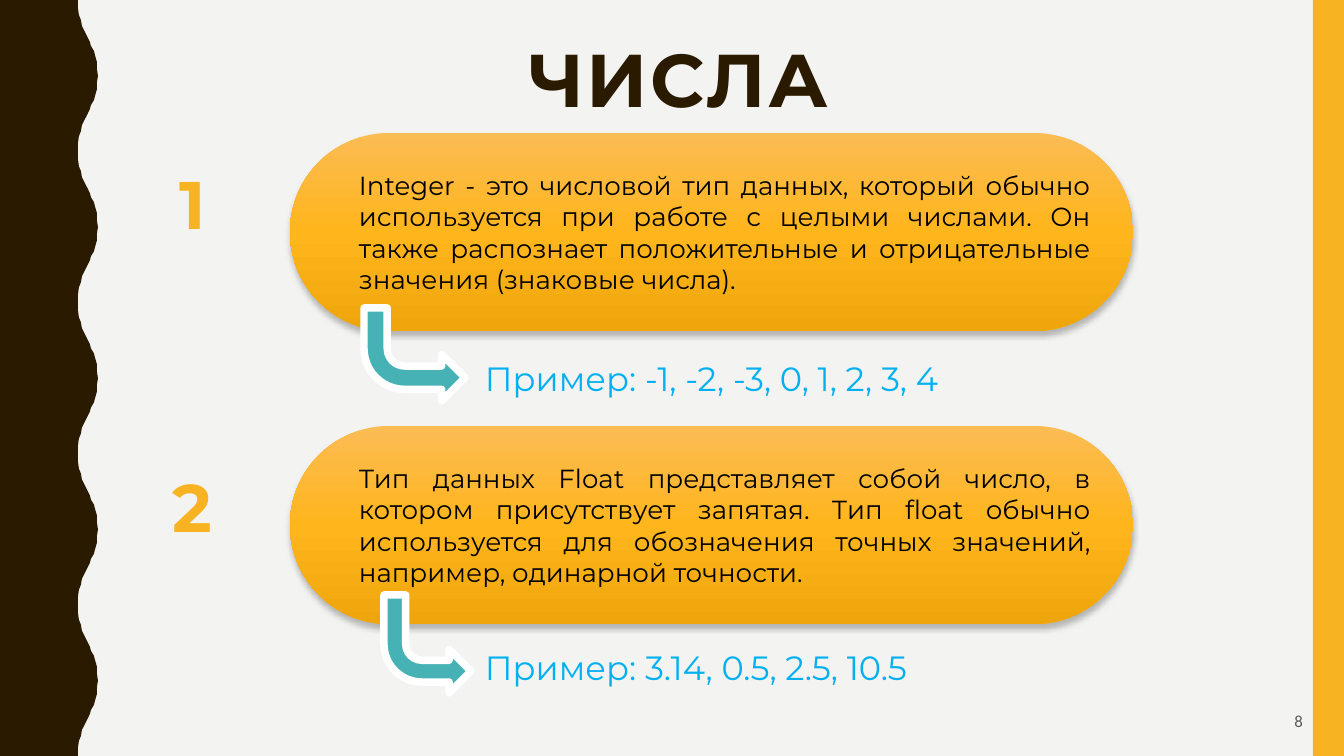
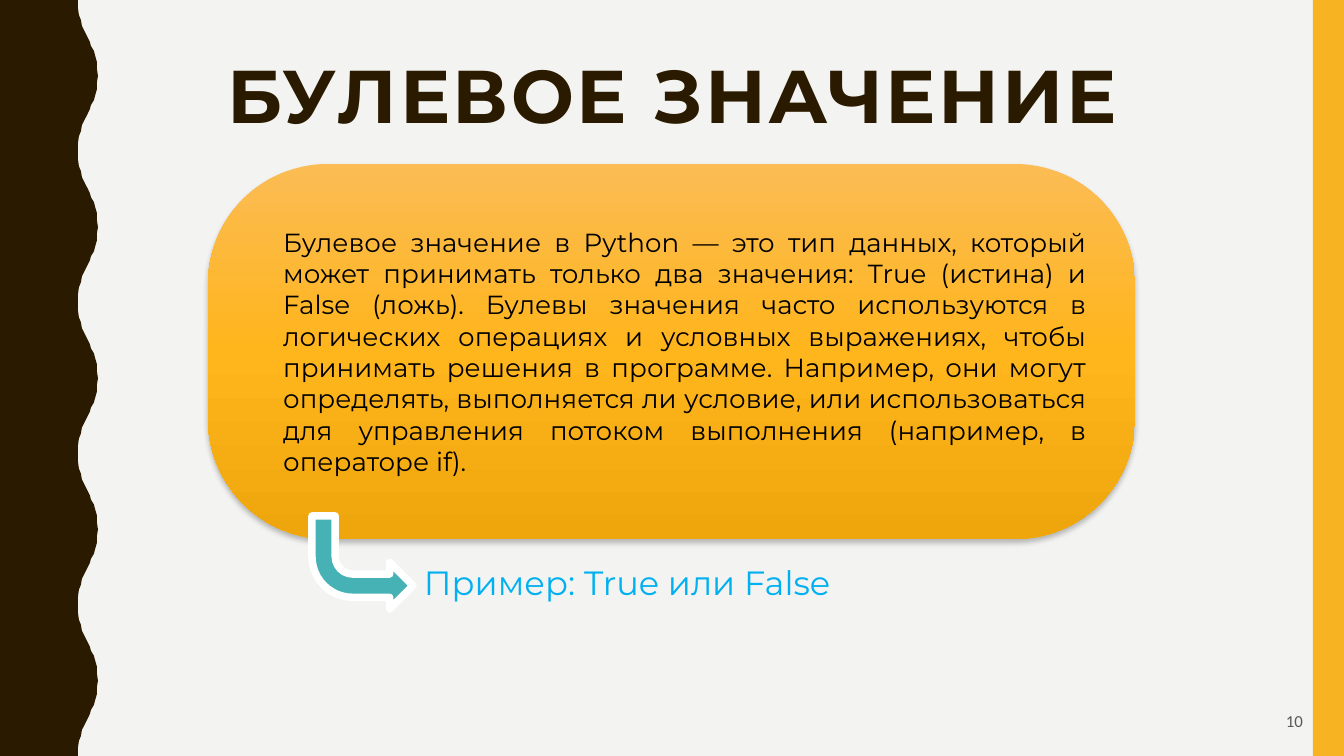
"""Build two slides on Python number types and the boolean type."""
from dataclasses import dataclass

from lxml.etree import SubElement
from pptx import Presentation
from pptx.dml.color import RGBColor
from pptx.enum.shapes import MSO_SHAPE
from pptx.enum.text import MSO_ANCHOR, MSO_AUTO_SIZE, PP_ALIGN
from pptx.oxml.ns import qn
from pptx.util import Emu, Pt

SLIDES = [
    {
        "title": ("ЧИСЛА", 122, 34),
        "page": "8",
        "numerals": [("1", 155), ("2", 458)],
        "cards": [
            {
                "text": "Integer - это числовой тип данных, который обычно используется "
                        "при работе с целыми числами. Он также распознает положительные "
                        "и отрицательные значения (знаковые числа).",
                "area": (290, 133, 843, 198),
                "corner": 0.5,
                "arrow": (364, 308, 101, 93),
                "example": ("Пример: -1, -2, -3, 0, 1, 2, 3, 4", 472, 351),
            },
            {
                "text": "Тип данных Float представляет собой число, в котором присутствует "
                        "запятая. Тип float обычно используется для обозначения точных "
                        "значений, например, одинарной точности.",
                "area": (290, 426, 843, 198),
                "corner": 0.5,
                "arrow": (384, 595, 87, 98),
                "example": ("Пример: 3.14, 0.5, 2.5, 10.5", 472, 640),
            },
        ],
    },
    {
        "title": ("БУЛЕВОЕ ЗНАЧЕНИЕ", 116, 50),
        "page": "10",
        "numerals": [],
        "cards": [
            {
                "text": "Булевое значение в Python — это тип данных, который может принимать "
                        "только два значения: True (истина) и False (ложь). Булевы значения "
                        "часто используются в логических операциях и условных выражениях, "
                        "чтобы принимать решения в программе. Например, они могут "
                        "определять, выполняется ли условие, или использоваться для "
                        "управления потоком выполнения (например, в операторе if).",
                "area": (208, 164, 927, 375),
                "corner": 0.32,
                "arrow": (312, 516, 101, 93),
                "example": ("Пример: True или False", 411, 555),
            },
        ],
    },
]

WIDTH, HEIGHT = 1344, 756
SCALE = 9144000 / WIDTH
WAVES = 5
WAVE_RISE = [
    (0, 78), (8, 78), (15, 79), (20, 81), (26, 82), (30, 84), (34, 86), (38, 88),
    (42, 90), (46, 91), (51, 94), (55, 95), (62, 97), (69, 97), (76, 98),
]


@dataclass(frozen=True)
class Style:
    size: int
    color: str
    font: str = "Montserrat"
    bold: bool = False
    align: PP_ALIGN = PP_ALIGN.LEFT
    anchor: MSO_ANCHOR = MSO_ANCHOR.TOP
    insets: tuple = (13, 7, 13, 7)
    grow: bool = True
    line_spacing: float = 1.0
    tracking: int = 0


@dataclass(frozen=True)
class Theme:
    paper: str = "F3F3F2"
    dark: str = "2A1A00"
    accent: str = "F8B323"
    arrow: str = "46B2B5"
    white: str = "FFFFFF"
    card: tuple = ((0, "FBBC54"), (50, "FFB51C"), (100, "EFA60C"))
    title: Style = Style(40, "2A1A00", bold=True, align=PP_ALIGN.CENTER,
                         anchor=MSO_ANCHOR.BOTTOM, insets=(13, 13, 13, 13),
                         grow=False, line_spacing=0.9, tracking=150)
    page: Style = Style(9, "595959", font="Calibri", align=PP_ALIGN.RIGHT,
                        insets=(13, 13, 13, 13), grow=False)
    numeral: Style = Style(36, "F8B323", bold=True, align=PP_ALIGN.CENTER,
                           anchor=MSO_ANCHOR.MIDDLE, insets=(16, 7, 16, 7))
    body: Style = Style(14, "000000", align=PP_ALIGN.JUSTIFY,
                        anchor=MSO_ANCHOR.MIDDLE, insets=(40, 7, 13, 7))
    example: Style = Style(18, "00B0F0")


THEME = Theme()


def px(length):
    return Emu(round(length * SCALE))


def paint(fill, color):
    fill.solid()
    fill.fore_color.rgb = RGBColor.from_string(color)


def write(shape, text, style):
    frame = shape.text_frame
    frame.text = text
    frame.word_wrap = True
    frame.auto_size = MSO_AUTO_SIZE.SHAPE_TO_FIT_TEXT if style.grow else MSO_AUTO_SIZE.NONE
    frame.vertical_anchor = style.anchor
    (frame.margin_left, frame.margin_top,
     frame.margin_right, frame.margin_bottom) = map(px, style.insets)
    para = frame.paragraphs[0]
    para.alignment = style.align
    para.line_spacing = style.line_spacing
    span = para.runs[0]
    span.font.name = style.font
    span.font.size = Pt(style.size)
    span.font.bold = style.bold
    span.font.color.rgb = RGBColor.from_string(style.color)
    if style.tracking:
        span.font._element.set("spc", str(style.tracking))


def add_text(page, text, area, style):
    write(page.shapes.add_textbox(*map(px, area)), text, style)


def add_plain_shape(page, kind, area):
    shape = page.shapes.add_shape(kind, *map(px, area))
    shape.shadow.inherit = False
    shape.line.fill.background()
    return shape


def add_wave(page):
    period = HEIGHT / WAVES
    fall = [(period - y, x) for y, x in reversed(WAVE_RISE[:-1])]
    edge = [(px(x), px(wave * period + y))
            for wave in range(WAVES) for y, x in WAVE_RISE + fall]
    builder = page.shapes.build_freeform(0, 0, scale=1.0)
    builder.add_line_segments(edge + [(0, px(HEIGHT))], close=True)
    band = builder.convert_to_shape()
    band.shadow.inherit = False
    paint(band.fill, THEME.dark)
    band.line.fill.background()


def add_color(parent, color):
    return SubElement(parent, qn("a:srgbClr"), val=color)


def add_card(page, text, area, corner):
    card = add_plain_shape(page, MSO_SHAPE.ROUNDED_RECTANGLE, area)
    card.adjustments[0] = corner
    card.fill.gradient()
    card.fill.gradient_angle = 270
    properties = card.element.spPr
    stops = properties.find(".//" + qn("a:gsLst"))
    stops.clear()
    for position, color in THEME.card:
        add_color(SubElement(stops, qn("a:gs"), pos=str(position * 1000)), color)
    shadow = SubElement(properties.find(qn("a:effectLst")), qn("a:outerShdw"),
                        blurRad=str(Pt(3)), dist=str(Pt(2)), dir="5400000",
                        algn="ctr", rotWithShape="0")
    SubElement(add_color(shadow, "000000"), qn("a:alpha"), val="25000")
    write(card, text, THEME.body)


def add_arrow(page, area):
    arrow = add_plain_shape(page, MSO_SHAPE.BENT_ARROW, area)
    arrow.element.spPr.get_or_add_xfrm().set("flipV", "1")
    paint(arrow.fill, THEME.arrow)
    paint(arrow.line.fill, THEME.white)
    arrow.line.width = Pt(4)
    SubElement(arrow.element.spPr.find(qn("a:ln")), qn("a:round"))


def add_page(deck, content):
    page = deck.slides.add_slide(deck.slide_layouts[6])
    paint(page.background.fill, THEME.paper)
    add_wave(page)
    stripe = add_plain_shape(page, MSO_SHAPE.RECTANGLE, (1313, 0, 31, HEIGHT))
    paint(stripe.fill, THEME.accent)
    title, left, top = content["title"]
    add_text(page, title, (left, top, 1113, 103), THEME.title)
    add_text(page, content["page"], (1235, 698, 81, 58), THEME.page)
    for numeral, top in content["numerals"]:
        add_text(page, numeral, (122, top, 141, 95), THEME.numeral)
    for card in content["cards"]:
        add_card(page, card["text"], card["area"], card["corner"])
    for card in content["cards"]:
        add_arrow(page, card["arrow"])
        example, left, top = card["example"]
        add_text(page, example, (left, top, 567, 54), THEME.example)


def main():
    deck = Presentation()
    deck.slide_width, deck.slide_height = px(WIDTH), px(HEIGHT)
    for content in SLIDES:
        add_page(deck, content)
    deck.save("out.pptx")


if __name__ == "__main__":
    main()
